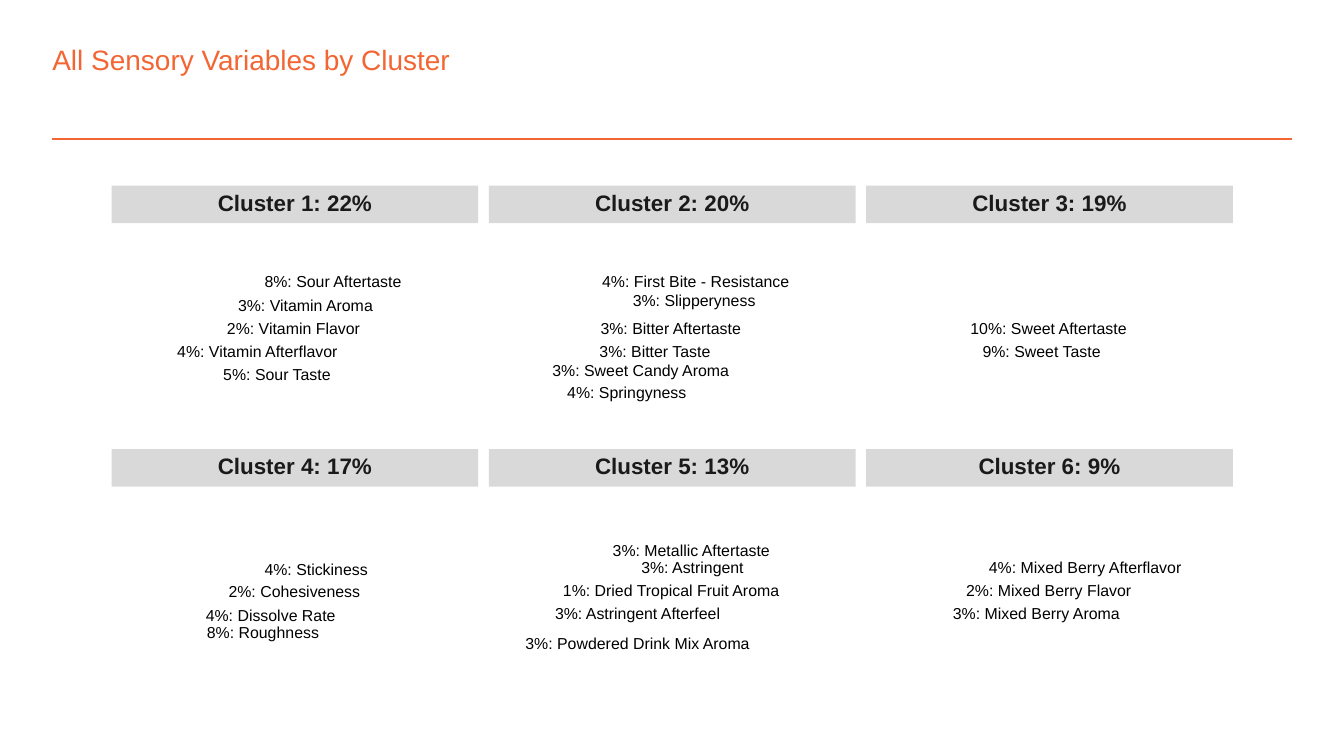
"""Build a slide of sensory variables grouped into six clusters."""
from lxml import etree
from pptx import Presentation
from pptx import util as u
from pptx.dml.color import RGBColor
from pptx.enum import shapes, text
from pptx.oxml.ns import qn

TITLE = "All Sensory Variables by Cluster"
# Each variable: text, left, middle, width in cm
CLUSTERS = [
    ("Cluster 1: 22%", [
        ("8%: Sour Aftertaste", 5, 5.35, 2.62),
        ("3%: Vitamin Aroma", 4.5, 5.8, 2.57),
        ("2%: Vitamin Flavor", 4.29, 6.24, 2.51),
        ("4%: Vitamin Afterflavor", 3.35, 6.67, 3.07),
        ("5%: Sour Taste", 4.22, 7.1, 2.08),
    ]),
    ("Cluster 2: 20%", [
        ("4%: First Bite - Resistance", 11.38, 5.35, 3.56),
        ("3%: Slipperyness", 11.96, 5.7, 2.34),
        ("3%: Bitter Aftertaste", 11.35, 6.24, 2.67),
        ("3%: Bitter Taste", 11.33, 6.67, 2.13),
        ("3%: Sweet Candy Aroma", 10.44, 7.02, 3.35),
        ("4%: Springyness", 10.72, 7.45, 2.26),
    ]),
    ("Cluster 3: 19%", [
        ("10%: Sweet Aftertaste", 18.34, 6.24, 2.97),
        ("9%: Sweet Taste", 18.57, 6.67, 2.29),
    ]),
    ("Cluster 4: 17%", [
        ("4%: Stickiness", 5, 10.78, 1.96),
        ("2%: Cohesiveness", 4.32, 11.21, 2.49),
        ("4%: Dissolve Rate", 3.89, 11.65, 2.46),
        ("8%: Roughness", 3.91, 11.98, 2.13),
    ]),
    ("Cluster 5: 13%", [
        ("3%: Metallic Aftertaste", 11.58, 10.43, 3),
        ("3%: Astringent", 12.12, 10.76, 1.96),
        ("1%: Dried Tropical Fruit Aroma", 10.64, 11.19, 4.14),
        ("3%: Astringent Afterfeel", 10.49, 11.62, 3.18),
        ("3%: Powdered Drink Mix Aroma", 9.93, 12.18, 4.27),
    ]),
    ("Cluster 6: 9%", [
        ("4%: Mixed Berry Afterflavor", 18.69, 10.76, 3.66),
        ("2%: Mixed Berry Flavor", 18.26, 11.19, 3.12),
        ("3%: Mixed Berry Aroma", 18.01, 11.62, 3.18),
    ]),
]

ORANGE = RGBColor(0xF3, 0x66, 0x33)
GREY = RGBColor(0xD9, 0xD9, 0xD9)
DARK = RGBColor(0x1A, 0x1A, 0x1A)
BLACK = RGBColor(0, 0, 0)

COLUMNS = 3
BAR_LEFT, BAR_TOP, BAR_WIDTH, BAR_HEIGHT = 2.11, 3.51, 6.93, 0.71
COLUMN_PITCH, ROW_PITCH = 7.13, 4.98
LABEL_HEIGHT = 0.25


def write(sp, words, size, color, align=text.PP_ALIGN.LEFT,
          anchor=text.MSO_ANCHOR.MIDDLE, bold=False, wrap=False, exact=True):
    tf = sp.text_frame
    tf.margin_left = tf.margin_right = tf.margin_top = tf.margin_bottom = 0
    tf.auto_size = text.MSO_AUTO_SIZE.NONE
    tf.word_wrap = wrap
    tf.vertical_anchor = anchor
    p = tf.paragraphs[0]
    p.alignment = align
    if exact:
        p.line_spacing = u.Pt(size)
    r = p.add_run()
    r.text = words
    r.font.name = "Arial"
    r.font.size = u.Pt(size)
    r.font.bold = bold
    r.font.color.rgb = color


def add_title(s):
    sp = s.shapes.title
    sp.left, sp.top, sp.width, sp.height = map(u.Cm, (0.99, 0.81, 21.06, 0.64))
    write(sp, TITLE, 15, ORANGE, anchor=text.MSO_ANCHOR.TOP, wrap=True, exact=False)
    line = s.shapes.add_connector(shapes.MSO_CONNECTOR.STRAIGHT,
                                  *map(u.Cm, (0.99, 2.62, 24.41, 2.62)))
    line.line.color.rgb = ORANGE
    line.line.width = u.Pt(1)
    etree.SubElement(line._element.spPr, qn("a:effectLst"))


def add_bar(s, index, heading):
    row, column = divmod(index, COLUMNS)
    box = (BAR_LEFT + column * COLUMN_PITCH, BAR_TOP + row * ROW_PITCH,
           BAR_WIDTH, BAR_HEIGHT)
    sp = s.shapes.add_shape(shapes.MSO_SHAPE.RECTANGLE, *map(u.Cm, box))
    sp.shadow.inherit = False
    sp.fill.solid()
    sp.fill.fore_color.rgb = GREY
    sp.line.fill.background()
    write(sp, heading, 12, DARK, align=text.PP_ALIGN.CENTER, bold=True, wrap=True)


def add_label(s, words, left, middle, width):
    box = (left, middle - LABEL_HEIGHT / 2, width, LABEL_HEIGHT)
    write(s.shapes.add_textbox(*map(u.Cm, box)), words, 8.5, BLACK)


def main():
    prs = Presentation()
    prs.slide_width, prs.slide_height = u.Cm(25.4), u.Cm(14.29)
    s = prs.slides.add_slide(prs.slide_layouts[5])
    add_title(s)
    for index, (heading, variables) in enumerate(CLUSTERS):
        add_bar(s, index, heading)
        for variable in variables:
            add_label(s, *variable)
    prs.save("out.pptx")


if __name__ == "__main__":
    main()
